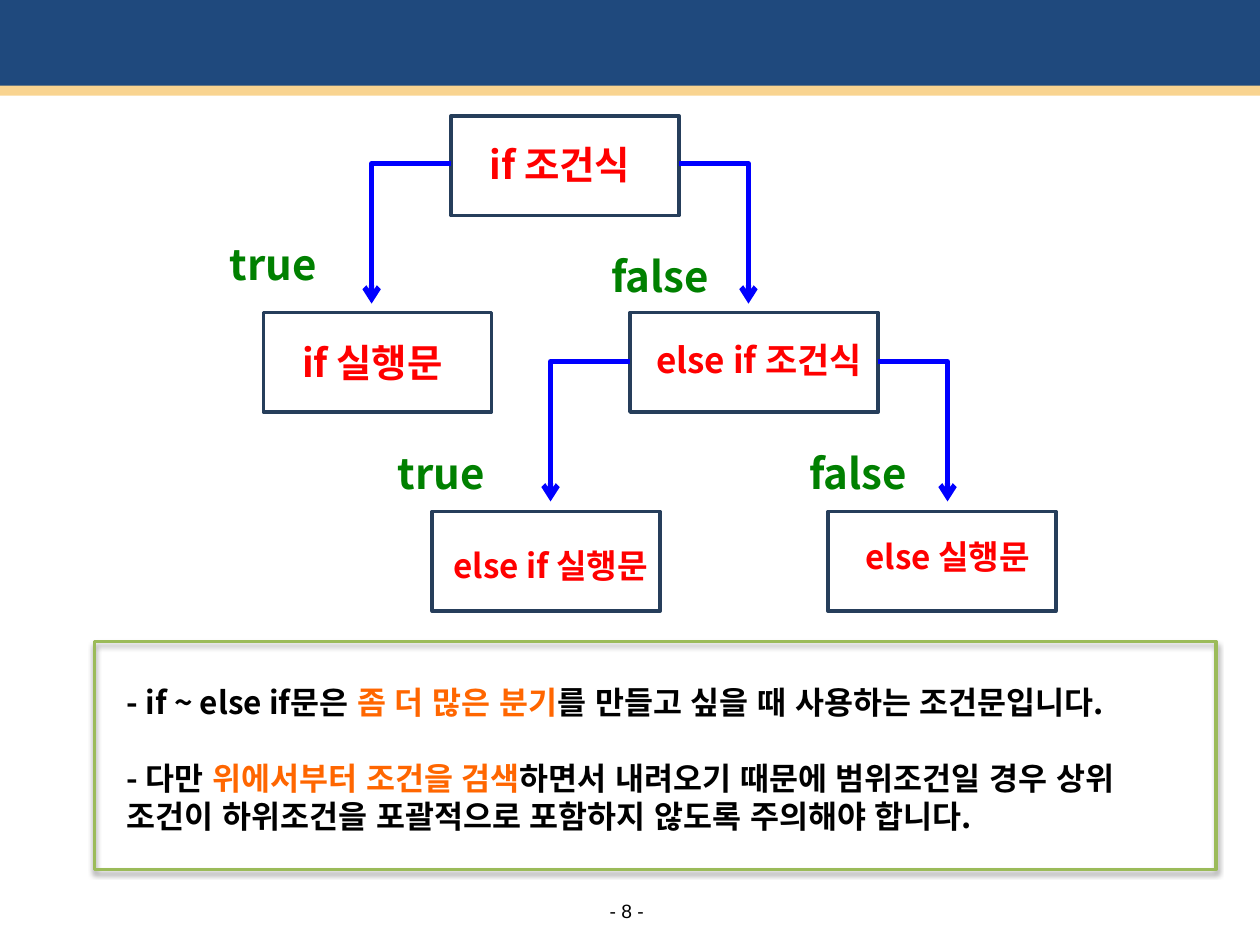
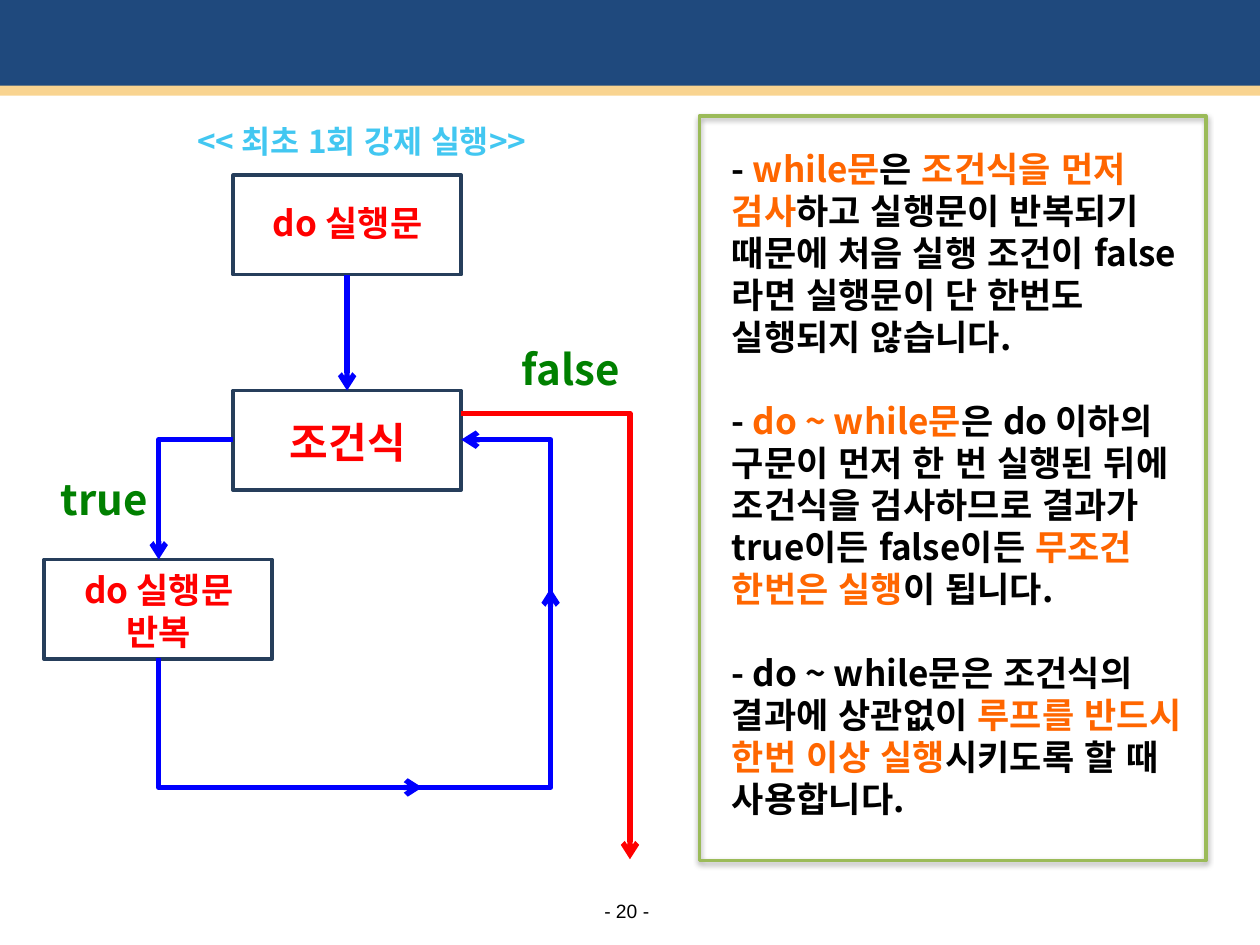
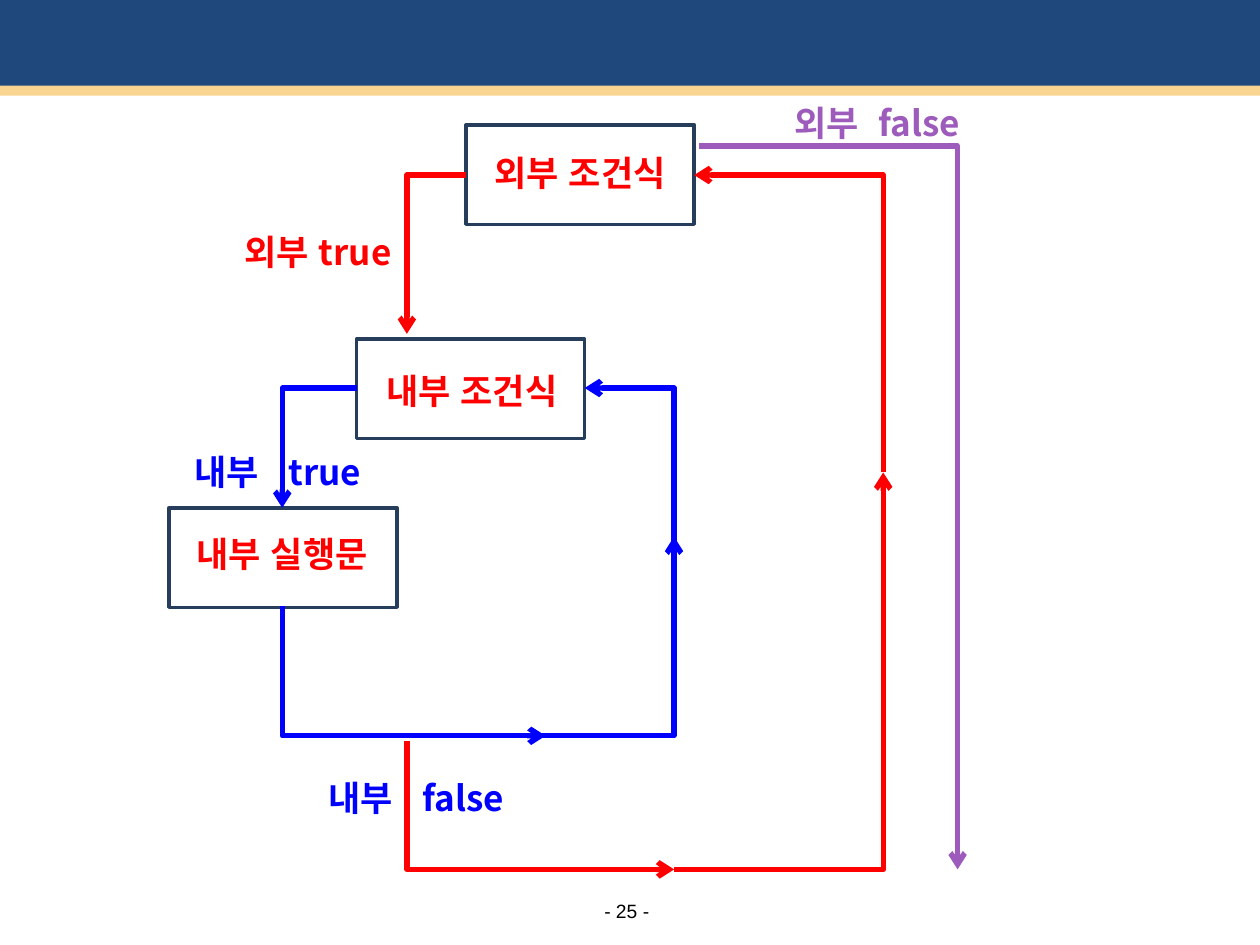
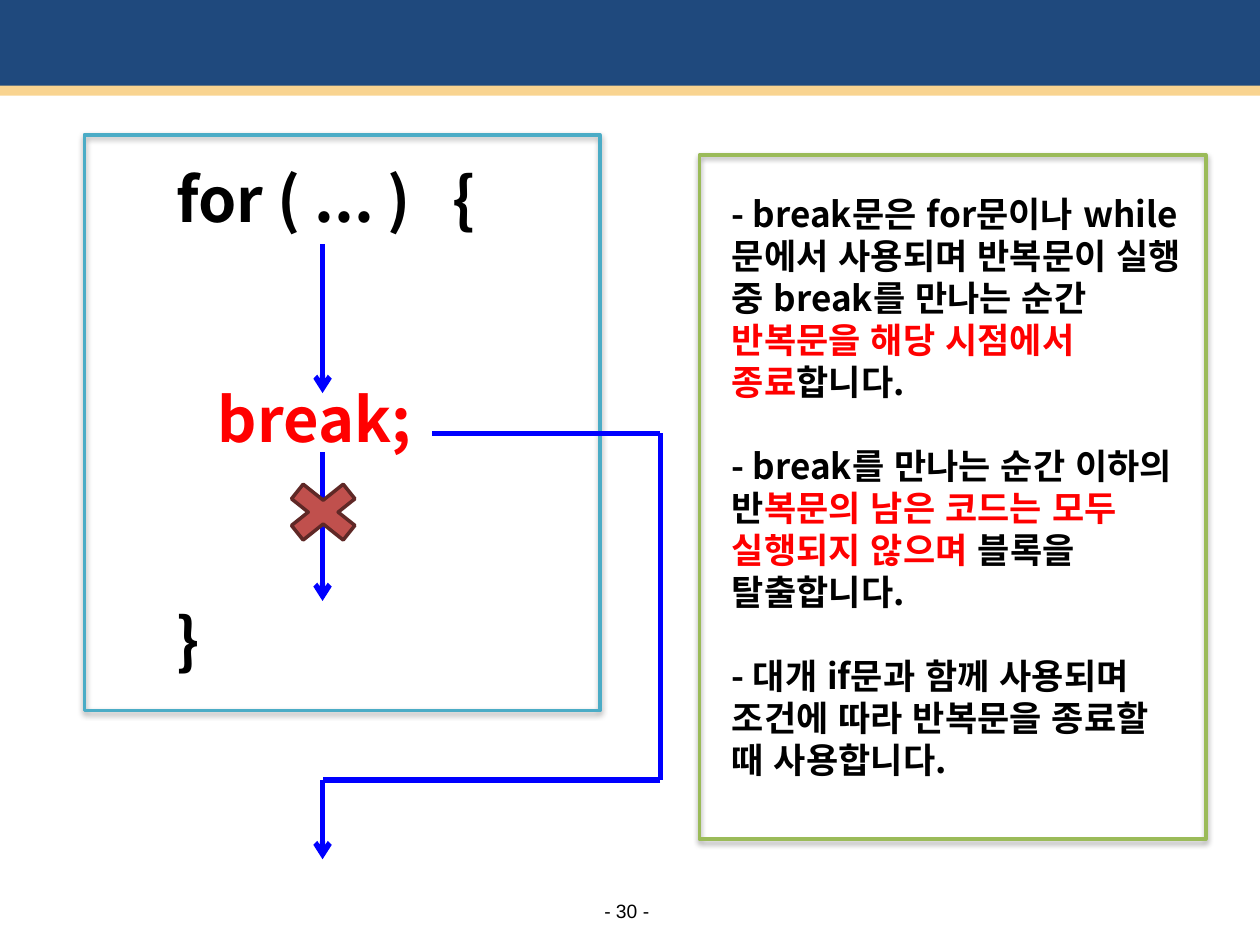
"""Build four lecture slides on branching, looping and break statements."""
from dataclasses import dataclass

import lxml.etree
import pptx
import pptx.dml.color
import pptx.enum.dml
import pptx.enum.shapes
import pptx.enum.text
import pptx.oxml.ns
import pptx.util

EMU_PER_PX = 9144
SLIDE_WIDTH, SLIDE_HEIGHT = 1000, 750
KOREAN, LATIN = "Noto Sans CJK KR", "Arial"

NAVY, SAND = "1F497D", "F9D490"
OUTLINE, GREEN_FRAME, TEAL_FRAME = "263E5B", "9BBB59", "4BACC6"
BLACK, RED, BLUE, GREEN = "000000", "FF0000", "0000FF", "008000"
ORANGE, PURPLE, SKY = "FF6600", "9D5CBB", "42C7F1"
CROSS_FILL, CROSS_LINE = "C0504D", "5F2826"

SHAPES = pptx.enum.shapes.MSO_SHAPE
CONNECTORS = pptx.enum.shapes.MSO_CONNECTOR
ALIGN = pptx.enum.text.PP_ALIGN
Runs = list[tuple[str, str]]


@dataclass(frozen=True)
class Box:
    left: int
    top: int
    width: int = 181
    height: int = 79
    color: str = OUTLINE
    shadow: bool = False


@dataclass(frozen=True)
class Label:
    text: str
    left: int
    top: int
    width: int
    size: int = 20
    color: str = RED
    gap: float = 0


@dataclass(frozen=True)
class Arrow:
    x1: int
    y1: int
    x2: int
    y2: int
    color: str = BLUE
    bent: bool = True
    down_first: bool = False
    head: bool = True


@dataclass(frozen=True)
class Prose:
    left: int
    top: int
    width: int
    height: int
    size: int
    space_before: int
    paragraphs: list[Runs]


@dataclass(frozen=True)
class Page:
    number: int
    boxes: list[Box]
    labels: list[Label]
    arrows: list[Arrow]
    prose: list[Prose]


def px(length: float) -> int:
    """Turn px into EMU."""
    return pptx.util.Emu(round(length * EMU_PER_PX))


def rgb(color: str) -> pptx.dml.color.RGBColor:
    """Turn a hex string into a colour."""
    return pptx.dml.color.RGBColor.from_string(color)


def add_child(parent, tag: str, **attributes: str):
    """Append a DrawingML element to a parent element."""
    return lxml.etree.SubElement(parent, pptx.oxml.ns.qn(tag), attributes)


def set_font(paragraph, size: int, color: str, name: str = KOREAN, bold: bool = True) -> None:
    """Set the font that all runs of a paragraph share."""
    font = paragraph.font
    font.size, font.bold, font.name = pptx.util.Pt(size), bold, name
    font.color.rgb = rgb(color)
    add_child(font._rPr, "a:ea", typeface=LATIN)


def add_frame(slide, left: int, top: int, width: int, height: int):
    """Add a wrapping text box and return its text frame."""
    frame = slide.shapes.add_textbox(px(left), px(top), px(width), px(height)).text_frame
    frame.word_wrap = True
    frame.auto_size = pptx.enum.text.MSO_AUTO_SIZE.SHAPE_TO_FIT_TEXT
    return frame


def draw_band(slide, top: int, height: int, color: str) -> None:
    """Draw a full-width header band."""
    band = slide.shapes.add_shape(SHAPES.RECTANGLE, 0, px(top), px(SLIDE_WIDTH), px(height))
    band.shadow.inherit = False
    band.fill.solid()
    band.fill.fore_color.rgb = rgb(color)
    band.line.fill.background()


def draw_shared(slide, page: Page) -> None:
    """Draw the header bands and the page number."""
    draw_band(slide, 0, 73, NAVY)
    draw_band(slide, 68, 8, SAND)
    footer = add_frame(slide, 476, 713, 43, 19)
    footer.word_wrap = False
    footer.vertical_anchor = pptx.enum.text.MSO_ANCHOR.MIDDLE
    footer.margin_left = footer.margin_right = footer.margin_top = footer.margin_bottom = 0
    number = footer.paragraphs[0]
    number.text = f"- {page.number} -"
    number.alignment = ALIGN.CENTER
    set_font(number, 11, BLACK, LATIN, bold=False)


def draw_box(slide, box: Box):
    """Draw an outlined box, with a soft shadow where asked."""
    shape = slide.shapes.add_shape(SHAPES.FLOWCHART_PROCESS, px(box.left), px(box.top),
                                   px(box.width), px(box.height))
    shape.shadow.inherit = False
    shape.fill.background()
    shape.line.color.rgb = rgb(box.color)
    shape.line.width = pptx.util.Pt(2)
    if box.shadow:
        effects = shape._element.spPr.find(pptx.oxml.ns.qn("a:effectLst"))
        outer = add_child(effects, "a:outerShdw", blurRad="40000", dist="23000",
                          dir="5400000", rotWithShape="0")
        add_child(add_child(outer, "a:srgbClr", val=BLACK), "a:alpha", val="35000")
    return shape


def draw_label(slide, label: Label) -> None:
    """Write a centred label; gap widens the space between its words."""
    frame = add_frame(slide, label.left, label.top, label.width, label.size * 5 // 3 + 10)
    for index, line in enumerate(label.text.split("\n")):
        paragraph = frame.add_paragraph() if index else frame.paragraphs[0]
        paragraph.alignment = ALIGN.CENTER
        for part in line.partition(" ") if label.gap else [line]:
            run = paragraph.add_run()
            run.text = part
            if part == " ":
                run.font._rPr.set("spc", str(round(label.gap * 100)))
        set_font(paragraph, label.size, label.color)


def draw_arrow(slide, arrow: Arrow):
    """Draw a straight or single-corner connector."""
    x1, y1, x2, y2 = arrow.x1, arrow.y1, arrow.x2, arrow.y2
    if arrow.down_first:
        center_x, center_y = (x1 + x2) / 2, (y1 + y2) / 2
        half_x, half_y = (x2 - x1) / 2, (y2 - y1) / 2
        x1, x2 = center_x + half_y, center_x - half_y
        y1, y2 = center_y - half_x, center_y + half_x
    kind = CONNECTORS.ELBOW if arrow.bent else CONNECTORS.STRAIGHT
    connector = slide.shapes.add_connector(kind, px(x1), px(y1), px(x2), px(y2))
    properties = connector._element.spPr
    if arrow.bent:
        properties.find(pptx.oxml.ns.qn("a:prstGeom")).set("prst", "bentConnector2")
    if arrow.down_first:
        connector.rotation = 270
    connector.line.color.rgb = rgb(arrow.color)
    connector.line.width = pptx.util.Pt(3)
    if arrow.head:
        add_child(connector.line._get_or_add_ln(), "a:tailEnd", type="arrow")
    add_child(properties, "a:effectLst")
    return connector


def draw_prose(slide, prose: Prose) -> None:
    """Write paragraphs made of coloured runs."""
    frame = add_frame(slide, prose.left, prose.top, prose.width, prose.height)
    for index, runs in enumerate(prose.paragraphs):
        paragraph = frame.add_paragraph() if index else frame.paragraphs[0]
        if index:
            paragraph.space_before = pptx.util.Pt(prose.space_before)
        for text, color in runs:
            run = paragraph.add_run()
            run.text = text
            if color != BLACK:
                run.font.color.rgb = rgb(color)
        set_font(paragraph, prose.size, BLACK)


def draw_cross(slide) -> None:
    """Draw the cross that blocks the code after break."""
    cross = slide.shapes.add_shape(SHAPES.MATH_MULTIPLY, px(217), px(375), px(79), px(63))
    cross.shadow.inherit = False
    cross.fill.solid()
    cross.fill.fore_color.rgb = rgb(CROSS_FILL)
    cross.line.color.rgb = rgb(CROSS_LINE)
    cross.line.width = pptx.util.Pt(2)


def draw_page(deck, page: Page):
    """Add a slide and draw a page; return the slide and its boxes."""
    slide = deck.slides.add_slide(deck.slide_layouts[6])
    draw_shared(slide, page)
    for prose in page.prose:
        draw_prose(slide, prose)
    boxes = [draw_box(slide, box) for box in page.boxes]
    for arrow in page.arrows:
        draw_arrow(slide, arrow)
    for label in page.labels:
        draw_label(slide, label)
    return slide, boxes


def truth(text: str, left: int, top: int) -> Label:
    """Describe a true or false label of a branch."""
    return Label(text, left, top, 126, 24, GREEN)


def loop_back(left: int, top: int) -> list[Arrow]:
    """Describe the inner loop, from its condition's left side and back to it."""
    return [
        Arrow(left, top, left - 59, top + 95),
        Arrow(left - 59, top + 173, left + 150, top + 276, down_first=True),
        Arrow(left + 142, top + 276, left + 252, top + 118),
        Arrow(left + 252, top + 134, left + 181, top, down_first=True),
    ]


ELSE_IF = Page(
    8,
    [Box(75, 509, 890, 181, GREEN_FRAME, True), Box(358, 92), Box(209, 248),
     Box(500, 248, 197), Box(343, 406), Box(657, 406)],
    [Label("if 조건식", 358, 107, 173, 22), Label("if 실행문", 209, 264, 173, 22),
     Label("else if 조건식", 500, 264, 205), Label("else if 실행문", 327, 428, 220, 19),
     Label("else 실행문", 642, 421, 220, 19), truth("true", 154, 184),
     truth("true", 287, 350), truth("false", 461, 194), truth("false", 618, 350)],
    [Arrow(539, 130, 594, 241), Arrow(358, 130, 295, 241),
     Arrow(500, 287, 437, 398), Arrow(697, 287, 752, 398)],
    [Prose(91, 537, 874, 129, 18, 22, [
        [("- if ~ else if문은 ", BLACK), ("좀 더 많은 분기", ORANGE),
         ("를 만들고 싶을 때 사용하는 조건문입니다.", BLACK)],
        [("- 다만 ", BLACK), ("위에서부터 조건을 검색", ORANGE),
         ("하면서 내려오기 때문에 범위조건일 경우 상위 조건이 하위조건을 "
          "포괄적으로 포함하지 않도록 주의해야 합니다.", BLACK)],
    ])],
)

DO_WHILE = Page(
    20,
    [Box(555, 92, 402, 591, GREEN_FRAME, True), Box(185, 139), Box(185, 310), Box(35, 444)],
    [Label("조건식", 201, 326, 150, 24), Label("do 실행문\n반복", 12, 446, 228),
     truth("true", 20, 371), truth("false", 390, 268), Label("do 실행문", 201, 155, 150),
     Label("<< 최초 1회 강제 실행>>", 106, 92, 362, 18, SKY)],
    loop_back(185, 349) + [Arrow(366, 328, 500, 682, RED)],
    [Prose(571, 112, 378, 578, 20, 24, [
        [("- ", BLACK), ("while문", ORANGE), ("은 ", BLACK), ("조건식을 먼저 검사", ORANGE),
         ("하고 실행문이 반복되기 때문에 처음 실행 조건이 false라면 "
          "실행문이 단 한번도 실행되지 않습니다.", BLACK)],
        [("- ", BLACK), ("do ~ while문", ORANGE),
         ("은 do 이하의 구문이 먼저 한 번 실행된 뒤에 조건식을 검사하므로 "
          "결과가 true이든 false이든 ", BLACK),
         ("무조건 한번은 실행", ORANGE), ("이 됩니다.", BLACK)],
        [("- do ~ while문은 조건식의 결과에 상관없이 ", BLACK),
         ("루프를 반드시 한번 이상 실행", ORANGE), ("시키도록 할 때 사용합니다.", BLACK)],
    ])],
)

NESTED_LOOP = Page(
    25,
    [Box(283, 269), Box(134, 403), Box(370, 99)],
    [Label("내부 조건식", 268, 288, 213), Label("내부 실행문", 98, 418, 252),
     Label("외부 조건식", 354, 115, 213), Label("외부 true", 154, 178, 197),
     Label("내부 true", 122, 353, 197, color=BLUE, gap=11),
     Label("외부 false", 598, 76, 197, color=PURPLE, gap=5.5),
     Label("내부 false", 232, 611, 197, color=BLUE, gap=11)],
    loop_back(283, 308) + [
        Arrow(370, 139, 323, 265, RED),
        Arrow(323, 588, 535, 690, RED, down_first=True),
        Arrow(535, 690, 701, 375, RED),
        Arrow(701, 375, 551, 139, RED, down_first=True),
        Arrow(555, 116, 760, 690, PURPLE)],
    [],
)

BREAK = Page(
    30,
    [Box(555, 123, 402, 543, GREEN_FRAME, True), Box(67, 107, 409, 457, TEAL_FRAME, True)],
    [],
    [Arrow(256, 194, 256, 312, bent=False), Arrow(256, 359, 256, 477, bent=False),
     Arrow(343, 344, 524, 344, bent=False, head=False),
     Arrow(524, 344, 524, 619, bent=False, head=False),
     Arrow(524, 619, 256, 619, bent=False, head=False),
     Arrow(256, 619, 256, 682, bent=False)],
    [Prose(571, 148, 378, 477, 20, 24, [
        [("- break문은 for문이나 while문에서 사용되며 반복문이 실행 중 "
          "break를 만나는 순간 ", BLACK),
         ("반복문을 해당 시점에서 종료", RED), ("합니다.", BLACK)],
        [("- break를 만나는 순간 이하의 반", BLACK),
         ("복문의 남은 코드는 모두 실행되지 않으며", RED), (" 블록을 탈출합니다.", BLACK)],
        [("- 대개 if문과 함께 사용되며 조건에 따라 반복문을 종료할 때 사용합니다.", BLACK)],
    ]),
     Prose(130, 123, 425, 418, 35, 84, [
         [("for ( ... )   {", BLACK)], [("   break;", RED)], [("}", BLACK)]])],
)


def main() -> None:
    """Build and save the deck."""
    deck = pptx.Presentation()
    deck.slide_width, deck.slide_height = px(SLIDE_WIDTH), px(SLIDE_HEIGHT)
    draw_page(deck, ELSE_IF)
    do_slide, (_, first_run, condition, _) = draw_page(deck, DO_WHILE)
    entry = draw_arrow(do_slide, Arrow(276, 218, 276, 310, bent=False))
    entry.begin_connect(first_run, 2)
    entry.end_connect(condition, 0)
    draw_page(deck, NESTED_LOOP)
    break_slide, _ = draw_page(deck, BREAK)
    draw_cross(break_slide)
    deck.save("out.pptx")


if __name__ == "__main__":
    main()
